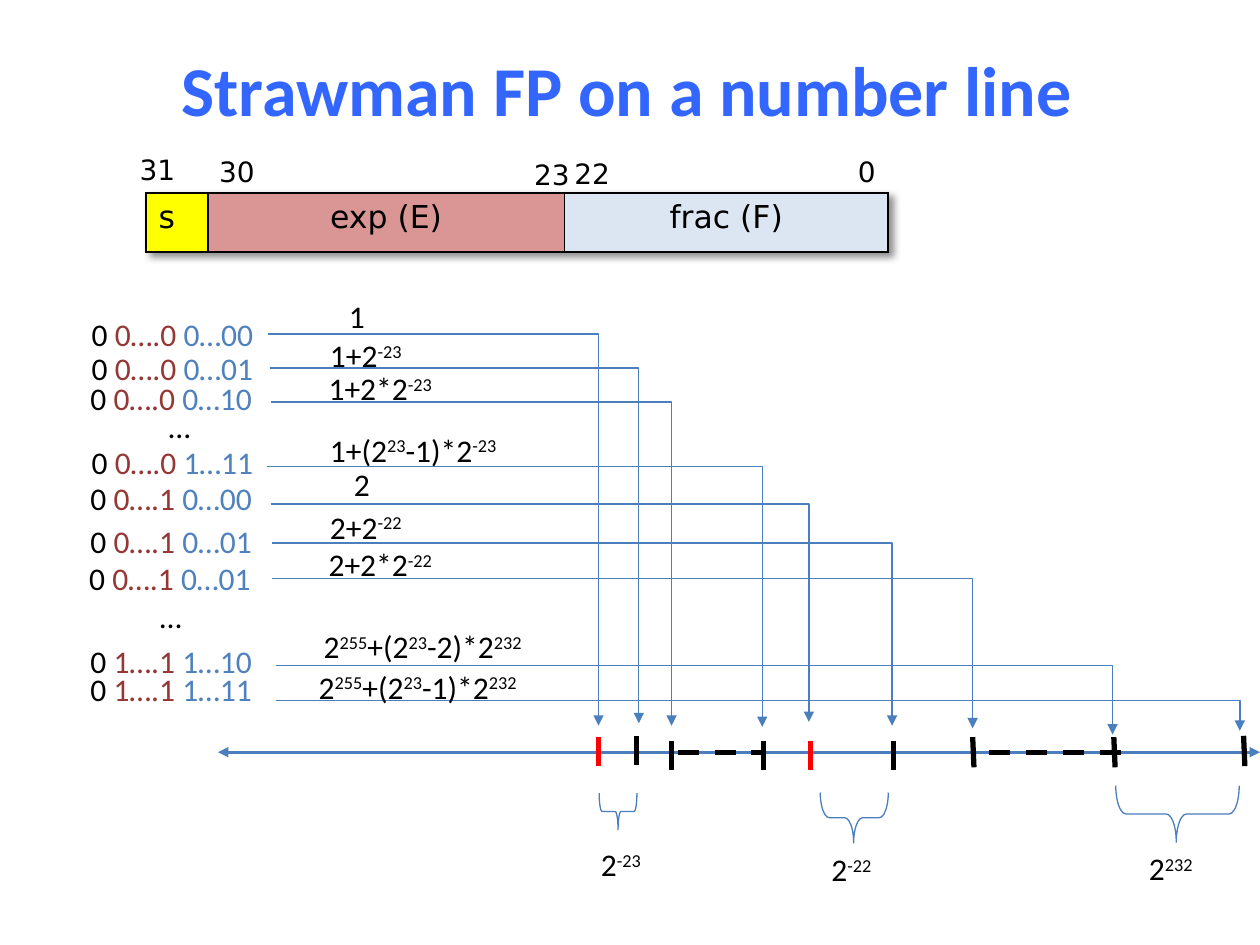
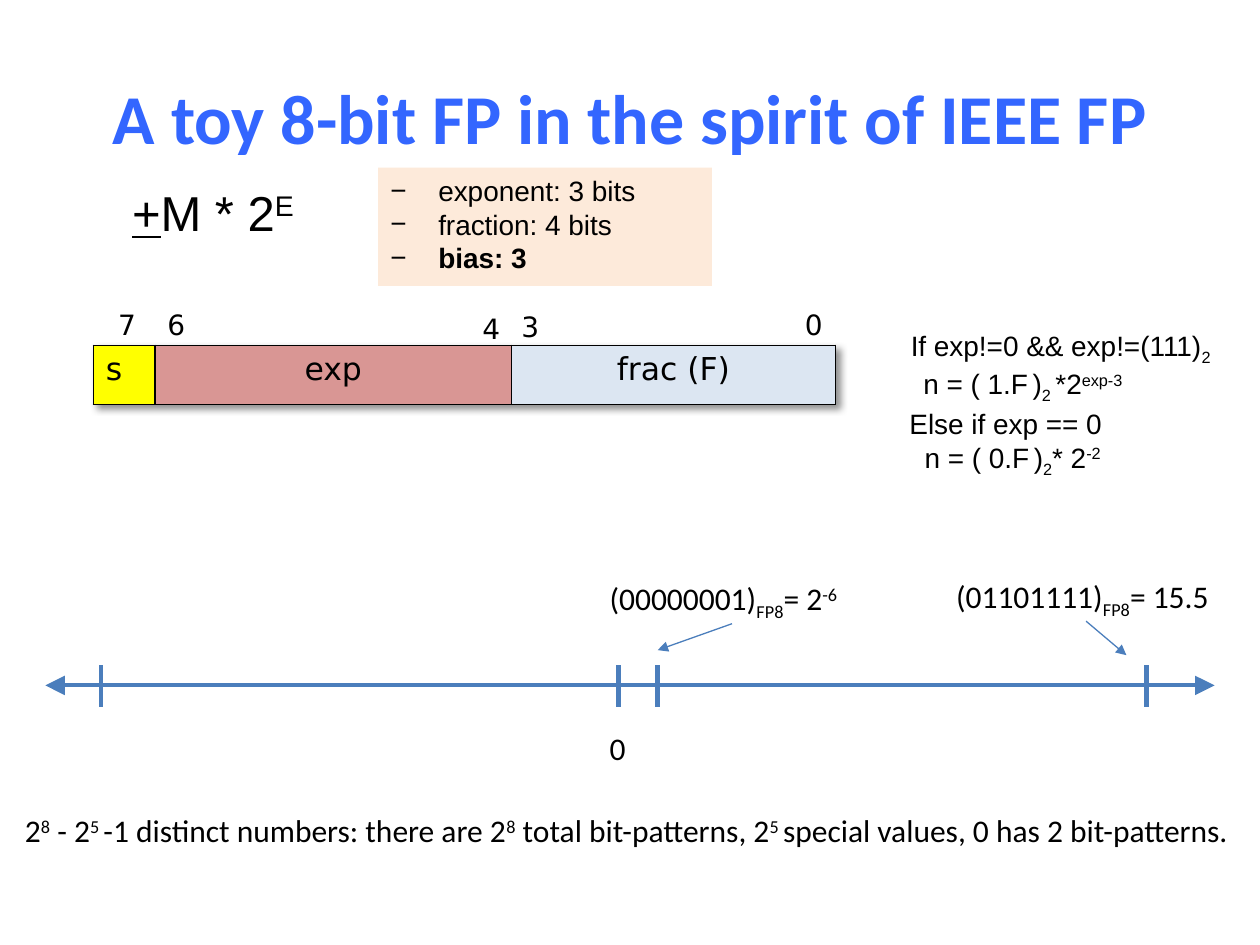
from collections import namedtuple

from lxml import etree
from pptx import Presentation
from pptx import util as u
from pptx.dml.color import RGBColor
from pptx.enum import dml, shapes, text
from pptx.oxml.ns import qn

PX = u.Inches(1) // 100  # 100 px to the inch

BLACK = RGBColor(0x00, 0x00, 0x00)
RED = RGBColor(0xFF, 0x00, 0x00)
TITLE_BLUE = RGBColor(0x33, 0x66, 0xFF)
LINE_BLUE = RGBColor(0x4B, 0x7E, 0xBC)
SIGN_FILL = RGBColor(0xFF, 0xFF, 0x00)
EXP_FILL = RGBColor(0xD9, 0x96, 0x94)
FRAC_FILL = RGBColor(0xDC, 0xE6, 0xF2)
NOTE_FILL = RGBColor(0xFD, 0xEA, 0xDA)
EXP_TEXT = RGBColor(0x95, 0x37, 0x35)
FRAC_TEXT = RGBColor(0x4F, 0x81, 0xBD)

BODY_FONT = "Calibri"
FIELD_FONT = "DejaVu Sans"
NOTE_FONT = "Arial"

BASELINES = {"^": "30000", "_": "-25000"}
FIELD_WIDTHS = (49, 283, 257)
FIELD_FILLS = (SIGN_FILL, EXP_FILL, FRAC_FILL)
FIELD_HEIGHT = 47

Value = namedtuple("Value", "exp frac bits_at label label_box start tip tick lean colour")
VALUES = [
    Value("0….0", "0…00", (63, 245), "1", (267, 231, 33), (213, 265), (475, 576), (475, 585), 0, RED),
    Value("0….0", "0…01", (63, 272), "1+2|^-23", (252, 262, 90), (214, 292), (507, 574), (505, 584), 0, BLACK),
    Value("0….0", "0…10", (62, 296), "1+2*2|^-23", (251, 288, 110), (215, 319), (533, 576), (533, 588), 0, BLACK),
    Value("0….0", "1…11", (63, 347), "1+(2|^23|-1)*2|^-23", (252, 337, 165), (212, 370), (605, 577), (606, 588), 0, BLACK),
    Value("0….1", "0…00", (62, 375), "2", (271, 364, 33), (215, 400), (642, 573), (643, 588), 0, RED),
    Value("0….1", "0…01", (62, 409), "2+2|^-22", (252, 398, 90), (216, 431), (708, 576), (709, 588), 0, BLACK),
    Value("0….1", "0…01", (61, 439), "2+2*2|^-22", (251, 428, 110), (216, 459), (772, 578), (772, 585), 1, BLACK),
    Value("1….1", "1…10", (62, 505), "2|^255|+(2|^23|-2)*2|^232", (247, 493, 195), (219, 528), (883, 583), (884, 585), 1, BLACK),
    Value("1….1", "1…11", (62, 527), "2|^255|+(2|^23|-1)*2|^232", (243, 525, 195), (219, 556), (984, 580), (987, 584), 1, BLACK),
]


def px(*lengths):
    return [length * PX for length in lengths]


def fill_paragraph(paragraph, markup, font, size):
    """Split markup at |; a part led by ^ is raised, one led by _ is lowered."""
    for part in markup.split("|"):
        baseline = BASELINES.get(part[0])
        run = paragraph.add_run()
        run.text = part[1:] if baseline else part
        run.font.name = font
        run.font.size = u.Pt(size)
        run.font.color.rgb = BLACK
        if baseline:
            run.font._element.set("baseline", baseline)


def add_text(slide, left, top, width, lines, height=40, font=BODY_FONT, size=18, wrap=True):
    frame = slide.shapes.add_textbox(*px(left, top, width, height)).text_frame
    frame.word_wrap = wrap
    frame.auto_size = text.MSO_AUTO_SIZE.SHAPE_TO_FIT_TEXT
    for number, markup in enumerate(lines):
        paragraph = frame.add_paragraph() if number else frame.paragraphs[0]
        fill_paragraph(paragraph, markup, font, size)
    return frame


def indent(paragraph, margin, hanging=0):
    properties = paragraph._p.get_or_add_pPr()
    properties.set("marL", str(margin * PX))
    properties.set("indent", str(-hanging * PX))
    return properties


def add_line(slide, start, end, width=0.75, colour=LINE_BLUE, arrows=(), arrow_size="med",
             dashed=False, bent=False):
    kind = shapes.MSO_CONNECTOR.ELBOW if bent else shapes.MSO_CONNECTOR.STRAIGHT
    connector = slide.shapes.add_connector(kind, *px(*start, *end))
    connector.line.color.rgb = colour
    connector.line.width = u.Pt(width)
    if dashed:
        connector.line.dash_style = dml.MSO_LINE.DASH
    properties = connector._element.spPr
    if bent:
        properties.find(qn("a:prstGeom")).set("prst", "bentConnector2")
    for arrow in arrows:
        etree.SubElement(properties.find(qn("a:ln")), qn(f"a:{arrow}"),
                         type="triangle", w=arrow_size, len=arrow_size)
    etree.SubElement(properties, qn("a:effectLst"))


def add_titled_slide(presentation, title, left, top, width):
    slide = presentation.slides.add_slide(presentation.slide_layouts[5])
    shape = slide.shapes.title
    shape.left, shape.top, shape.width, shape.height = px(left, top, width, 125)
    shape.text_frame.text = title
    shape.text_frame.vertical_anchor = text.MSO_ANCHOR.MIDDLE
    paragraph = shape.text_frame.paragraphs[0]
    paragraph.alignment = text.PP_ALIGN.CENTER
    font = paragraph.runs[0].font
    font.name, font.size, font.bold = BODY_FONT, u.Pt(40), True
    font.color.rgb = TITLE_BLUE
    return slide


def outline_cell(cell):
    properties = cell._tc.get_or_add_tcPr()
    for position, side in enumerate(("lnL", "lnR", "lnT", "lnB")):
        border = etree.Element(qn(f"a:{side}"), w=str(u.Pt(1)))
        fill = etree.SubElement(border, qn("a:solidFill"))
        etree.SubElement(fill, qn("a:srgbClr"), val=str(BLACK))
        properties.insert(position, border)


def add_table_shadow(table):
    effects = etree.Element(qn("a:effectLst"))
    shadow = etree.SubElement(effects, qn("a:outerShdw"), blurRad="50800", dist="38100",
                              dir="2700000", algn="tl", rotWithShape="0")
    colour = etree.SubElement(shadow, qn("a:srgbClr"), val=str(BLACK))
    etree.SubElement(colour, qn("a:alpha"), val="43000")
    table._tbl.tblPr.insert(0, effects)


def add_field_bar(slide, left, top, names, bit_numbers):
    """Draw the sign, exponent and fraction fields with bit numbers above them."""
    frame = slide.shapes.add_table(1, 3, *px(left, top, sum(FIELD_WIDTHS), FIELD_HEIGHT))
    table = frame.table
    table.first_row = table.horz_banding = False
    table.rows[0].height = FIELD_HEIGHT * PX
    for index, name in enumerate(names):
        table.columns[index].width = FIELD_WIDTHS[index] * PX
        cell = table.cell(0, index)
        cell.fill.solid()
        cell.fill.fore_color.rgb = FIELD_FILLS[index]
        outline_cell(cell)
        paragraph = cell.text_frame.paragraphs[0]
        fill_paragraph(paragraph, name, FIELD_FONT, 18)
        if index:
            paragraph.alignment = text.PP_ALIGN.CENTER
    add_table_shadow(table)
    for number, dx, rise in bit_numbers:
        add_text(slide, left + dx, top - rise, 19 + 15 * len(number), [number],
                 height=37, font=FIELD_FONT, size=16, wrap=False)


def add_value(slide, value):
    """Draw one bit pattern, its value, its tick and the arrow that joins them."""
    frame = add_text(slide, *value.bits_at, 150, [f"0 |{value.exp} |{value.frac}"], wrap=False)
    runs = frame.paragraphs[0].runs
    runs[1].font.color.rgb = EXP_TEXT
    runs[2].font.color.rgb = FRAC_TEXT
    add_line(slide, value.start, value.tip, arrows=["tailEnd"], bent=True)
    add_text(slide, *value.label_box, [value.label])
    x, y = value.tick
    add_line(slide, (x, y), (x + value.lean, y + 23 + value.lean), 3, value.colour)


def add_gap_brace(slide, box, adjustments, label, label_box):
    brace = slide.shapes.add_shape(shapes.MSO_SHAPE.RIGHT_BRACE, *px(*box))
    brace.rotation = 90
    brace.shadow.inherit = False
    brace.fill.background()
    brace.line.color.rgb = LINE_BLUE
    brace.line.width = u.Pt(0.75)
    for index, adjustment in enumerate(adjustments):
        brace.adjustments[index] = adjustment
    add_text(slide, *label_box, [label])


def build_number_line_slide(presentation):
    slide = add_titled_slide(presentation, "Strawman FP on a number line", -14, 8, 1023)
    axis = 597
    add_line(slide, (173, axis), (1000, axis), 1.75, arrows=["headEnd", "tailEnd"])
    add_field_bar(slide, 116, 153, ("s", "exp (E)", "frac (F)"), [
        ("31", -15, 37), ("30", 48, 35), ("23", 298, 33), ("22", 330, 34), ("0", 555, 35)])
    for value in VALUES:
        add_value(slide, value)
    for left, top in ((124, 318), (117, 469)):
        add_text(slide, left, top, 38, ["…"])
    for left, right in ((538, 606), (785, 896)):
        add_line(slide, (left, axis), (right, axis), 3, BLACK, dashed=True)
    wide = (0.18, 0.51)
    add_gap_brace(slide, (476, 629, 29, 30), (0.08, 0.5), "2|^-23", (467, 666, 65))
    add_gap_brace(slide, (658, 622, 40, 54), wide, "2|^-22", (650, 670, 65))
    add_gap_brace(slide, (912, 597, 45, 98), wide, "2|^232", (902, 669, 65))


def add_format_note(slide, left, top):
    """Draw the tinted list of field sizes and the general form beside it."""
    lines = ["exponent: 3 bits", "fraction: 4 bits", "bias: 3"]
    box = slide.shapes.add_textbox(*px(left, top, 265, 94))
    box.fill.solid()
    box.fill.fore_color.rgb = NOTE_FILL
    frame = box.text_frame
    frame.word_wrap = True
    for number, line in enumerate(lines):
        paragraph = frame.add_paragraph() if number else frame.paragraphs[0]
        properties = indent(paragraph, 38, 38)
        etree.SubElement(properties, qn("a:buFont"), typeface=NOTE_FONT)
        etree.SubElement(properties, qn("a:buChar"), char="−")
        fill_paragraph(paragraph, line, NOTE_FONT, 16)
    frame.paragraphs[-1].runs[0].font.bold = True
    form = add_text(slide, left - 205, top + 7, 203, ["+|M * 2|^E"], height=93,
                    font=NOTE_FONT, size=28)
    form.paragraphs[0].runs[0].font.underline = True


def add_decoding_rules(slide, left, top):
    rules = [
        (1, 0, 262, 10, ["If exp!=0 && exp!=(111)|_2", "n = ( 1.F|_ |)|_2 |*2|^exp-3"]),
        (0, 62, 183, 12, ["Else if exp == 0", "n = ( 0.F|_ |)|_2|* 2|^-2"]),
    ]
    for dx, dy, width, margin, lines in rules:
        frame = add_text(slide, left + dx, top + dy, width, lines, height=64,
                         font=NOTE_FONT, size=16, wrap=False)
        indent(frame.paragraphs[1], margin)


def add_toy_axis(slide, left, axis):
    """Draw the symmetric axis with its ticks and the two marked values."""
    add_line(slide, (left, axis), (left + 928, axis), 2.25,
             arrows=["headEnd", "tailEnd"], arrow_size="lg")
    for dx in (44, 455, 486, 874):
        add_line(slide, (left + dx, axis - 16), (left + dx, axis + 17), 2.5)
    add_text(slide, left + 438, axis + 30, 33, ["0"])
    marks = [
        ("(00000001)|_FP8|= 2|^-6", (438, -89, 215), (545, -49), (486, -28)),
        ("(01101111)|_FP8|= 15.5", (713, -91, 226), (826, -51), (858, -24)),
    ]
    for label, (dx, dy, width), start, tip in marks:
        add_text(slide, left + dx, axis + dy, width, [label], wrap=False)
        add_line(slide, (left + start[0], axis + start[1]), (left + tip[0], axis + tip[1]),
                 arrows=["tailEnd"])


def build_toy_slide(presentation):
    slide = add_titled_slide(presentation, "A toy 8-bit FP in the spirit of IEEE FP", 50, 30, 900)
    add_field_bar(slide, 74, 274, ("s", "exp", "frac (F)"), [
        ("7", 10, 35), ("6", 49, 35), ("4", 299, 32), ("3", 330, 33), ("0", 555, 35)])
    add_format_note(slide, 300, 133)
    add_decoding_rules(slide, 712, 256)
    add_toy_axis(slide, 36, 544)
    add_text(slide, 10, 639, 994, [
        "2|^8| - 2|^5 |-1 distinct numbers: there are 2|^8| total bit-patterns, "
        "2|^5 |special values, 0 has 2 bit-patterns."], wrap=False)


def main():
    presentation = Presentation()
    presentation.slide_width, presentation.slide_height = px(1000, 750)
    build_number_line_slide(presentation)
    build_toy_slide(presentation)
    presentation.save("out.pptx")


if __name__ == "__main__":
    main()
